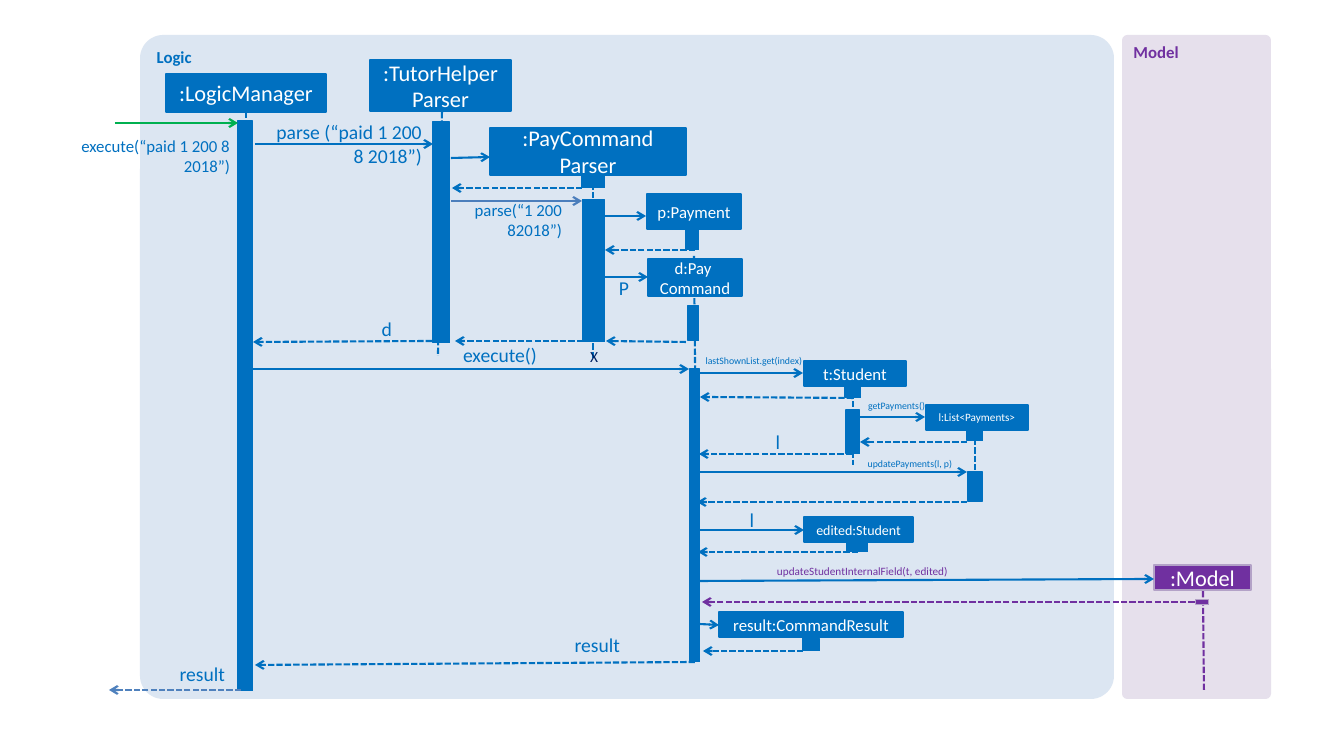
from typing import NamedTuple

from lxml.etree import SubElement
from pptx import Presentation
from pptx.dml.color import RGBColor
from pptx.enum.dml import MSO_LINE
from pptx.enum.shapes import MSO_CONNECTOR, MSO_SHAPE
from pptx.enum.text import MSO_ANCHOR, PP_ALIGN
from pptx.oxml.ns import qn
from pptx.util import Emu, Pt

SCALE = 914400 / 100.8
FONT = "Calibri"
COLORS = {
    "blue": "0070C0", "purple": "7030A0", "lilac": "B3A2C7", "green": "00B050",
    "steel": "4F81BD", "slate": "4B7EBC", "navy": "002060", "white": "FFFFFF",
    "logic": "DCE6F2", "model": "E6E0EC",
}


class Panel(NamedTuple):
    x: int
    width: int
    text: str
    fill: str
    ink: str


class Box(NamedTuple):
    x: int
    y: int
    width: int
    height: int
    text: str = ""
    size: int = 12
    fill: str = "blue"
    edge: str = "blue"


class Line(NamedTuple):
    x: int
    y: int
    end: int
    drop: int = 0
    dashed: bool = False
    color: str = "blue"


class Label(NamedTuple):
    x: int
    y: int
    width: int
    height: int
    text: str
    size: int = 14
    color: str = "blue"


PANELS = [
    Panel(1122, 149, "Model", "model", "purple"),
    Panel(140, 974, "Logic", "logic", "blue"),
]
LIVES = [
    Line(246, 112, 246, 402, True),
    Line(442, 112, 438, 244, True),
    Line(694, 256, 697, 296, True),
    Line(593, 175, 593, 184, True),
    Line(853, 384, 853, 81, True),
    Line(975, 422, 975, 80, True),
    Line(1203, 591, 1204, 99, True, "purple"),
]
BARS = [
    Box(238, 121, 15, 570), Box(433, 122, 17, 221), Box(582, 175, 23, 13),
    Box(583, 200, 22, 142), Box(686, 230, 13, 20), Box(688, 306, 11, 35),
    Box(690, 369, 10, 293), Box(845, 387, 16, 11), Box(846, 410, 14, 44),
    Box(967, 430, 16, 11), Box(968, 472, 15, 29), Box(847, 541, 21, 11),
    Box(803, 639, 17, 12),
    Box(1196, 600, 13, 5, fill="purple", edge="lilac"),
]
BOXES = [
    Box(166, 74, 160, 38, ":LogicManager", 16),
    Box(370, 60, 141, 51, ":TutorHelperParser", 16),
    Box(490, 128, 196, 47, ":PayCommand\nParser", 16),
    Box(647, 194, 94, 35, "p:Payment"),
    Box(648, 259, 94, 37, "d:Pay \nCommand"),
    Box(804, 361, 102, 25, "t:Student"),
    Box(926, 405, 102, 25, "l:List<Payments>", 8),
    Box(804, 517, 109, 25, "edited:Student", 10),
    Box(719, 612, 184, 25, "result:CommandResult"),
    Box(1154, 565, 97, 25, ":Model", 16, "purple", "lilac"),
]
CALLS = [
    Line(115, 123, 238, color="green"),
    Line(255, 144, 433),
    Line(451, 158, 490, -1),
    Line(451, 201, 582, color="slate"),
    Line(604, 216, 646),
    Line(594, 277, 648),
    Line(252, 369, 689),
    Line(694, 373, 803),
    Line(860, 417, 925),
    Line(700, 472, 967),
    Line(697, 530, 804),
    Line(699, 581, 1154, -2),
    Line(699, 624, 719, 1),
]
REPLIES = [
    Line(582, 188, 452, 0, True),
    Line(695, 250, 605, 0, True),
    Line(686, 342, 606, -1, True),
    Line(583, 341, 455, 0, True),
    Line(432, 341, 253, 1, True),
    Line(853, 398, 700, -1, True),
    Line(967, 442, 860, 0, True),
    Line(852, 454, 699, 0, True),
    Line(967, 502, 697, 0, True),
    Line(858, 552, 698, 0, True),
    Line(1203, 602, 702, 0, True, "purple"),
    Line(803, 651, 703, 0, True),
    Line(695, 662, 255, 3, True),
    Line(241, 690, 109, 0, True, "steel"),
]
LABELS = [
    Label(73, 136, 157, 40, "execute(“paid 1 200 8 2018”)", 12),
    Label(265, 120, 157, 47, "parse (“paid 1 200 8 2018”)"),
    Label(464, 200, 98, 40, "parse(“1 200 82018”)", 12),
    Label(560, 276, 69, 24, "P"),
    Label(368, 317, 24, 24, "d"),
    Label(442, 343, 95, 24, "execute()"),
    Label(569, 347, 29, 18, "X", 11, "navy"),
    Label(675, 355, 127, 12, "lastShownList.get(index)", 7),
    Label(798, 400, 127, 12, "getPayments()", 7),
    Label(756, 430, 24, 24, "l"),
    Label(825, 458, 127, 12, "updatePayments(l, p)", 7),
    Label(730, 508, 24, 24, "l"),
    Label(749, 564, 199, 13, "updateStudentInternalField(t, edited)", 8, "purple"),
    Label(551, 633, 69, 24, "result"),
    Label(141, 662, 84, 24, "result"),
]


def px(*sizes: int) -> list[Emu]:
    return [Emu(round(size * SCALE)) for size in sizes]


def rgb(name: str) -> RGBColor:
    return RGBColor.from_string(COLORS[name])


def write(shape, text: str, size: int, color: str, align, bold: bool = False) -> None:
    frame = shape.text_frame
    frame.word_wrap = True
    frame.text = text
    for para in frame.paragraphs:
        para.alignment = align
        for run in para.runs:
            run.font.name = FONT
            run.font.size = Pt(size)
            run.font.bold = bold
            run.font.color.rgb = rgb(color)


def block(shapes, kind, x: int, y: int, width: int, height: int, fill: str):
    shape = shapes.add_shape(kind, *px(x, y, width, height))
    shape.shadow.inherit = False
    shape.fill.solid()
    shape.fill.fore_color.rgb = rgb(fill)
    return shape


def panel(shapes, item: Panel) -> None:
    shape = block(shapes, MSO_SHAPE.ROUNDED_RECTANGLE, item.x, 35, item.width, 664, item.fill)
    shape.adjustments[0] = 0.035
    shape.line.fill.background()
    shape.text_frame.vertical_anchor = MSO_ANCHOR.TOP
    write(shape, item.text, 12, item.ink, PP_ALIGN.LEFT, True)


def box(shapes, item: Box) -> None:
    shape = block(shapes, MSO_SHAPE.RECTANGLE, *item[:4], item.fill)
    shape.line.color.rgb = rgb(item.edge)
    shape.line.width = Pt(1.5 if item.text else 0.75)
    if item.text:
        shape.text_frame.vertical_anchor = MSO_ANCHOR.MIDDLE
        write(shape, item.text, item.size, "white", PP_ALIGN.CENTER)


def line(shapes, item: Line, arrow: bool) -> None:
    ends = px(item.x, item.y, item.end, item.y + item.drop)
    link = shapes.add_connector(MSO_CONNECTOR.STRAIGHT, *ends)
    link.line.color.rgb = rgb(item.color)
    link.line.width = Pt(1.5)
    if item.dashed:
        link.line.dash_style = MSO_LINE.SQUARE_DOT
    props = link.element.spPr
    if arrow:
        SubElement(props.find(qn("a:ln")), qn("a:tailEnd"), type="arrow")
    SubElement(props, qn("a:effectLst"))


def label(shapes, item: Label) -> None:
    shape = shapes.add_textbox(*px(*item[:4]))
    frame = shape.text_frame
    frame.margin_left = frame.margin_right = frame.margin_top = frame.margin_bottom = 0
    write(shape, item.text, item.size, item.color, PP_ALIGN.RIGHT)


deck = Presentation()
deck.slide_width, deck.slide_height = px(1344, 756)
shapes = deck.slides.add_slide(deck.slide_layouts[6]).shapes
for item in PANELS:
    panel(shapes, item)
for item in LIVES:
    line(shapes, item, False)
for item in BARS + BOXES:
    box(shapes, item)
for item in CALLS + REPLIES:
    line(shapes, item, True)
for item in LABELS:
    label(shapes, item)
deck.save("out.pptx")
